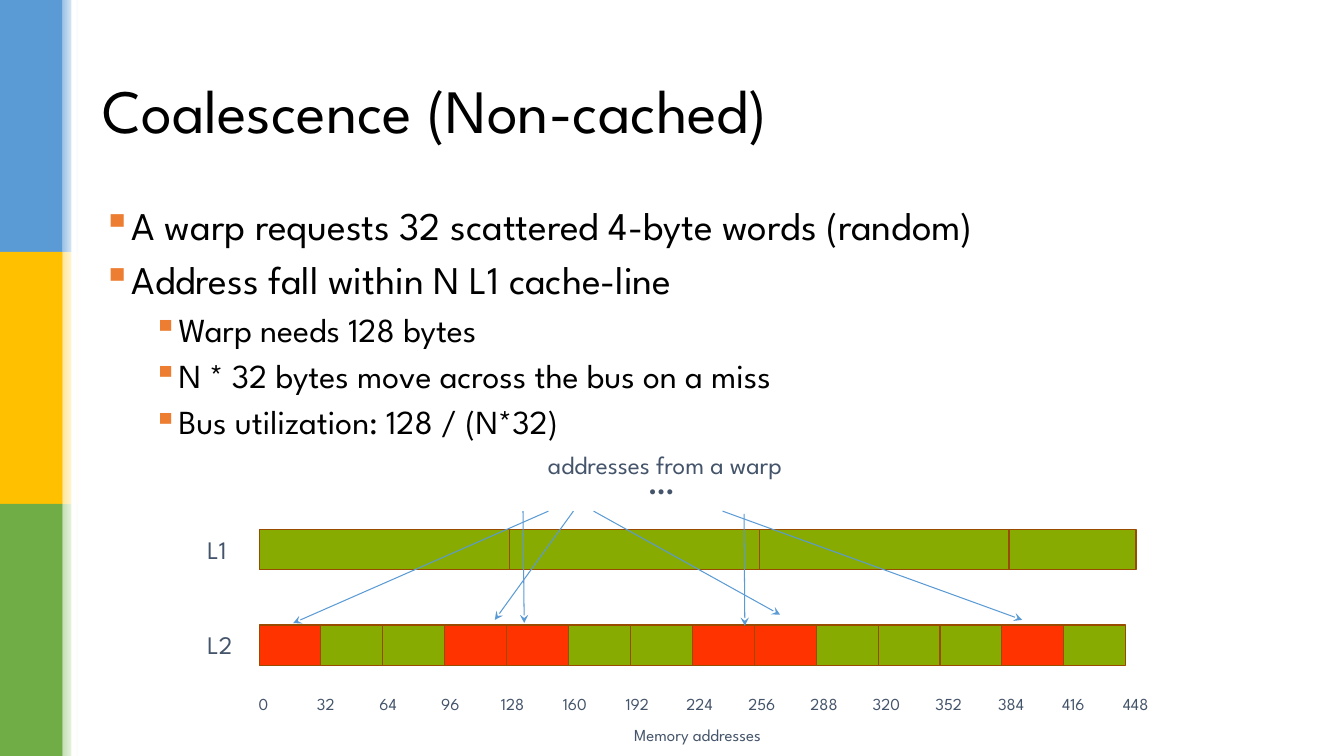
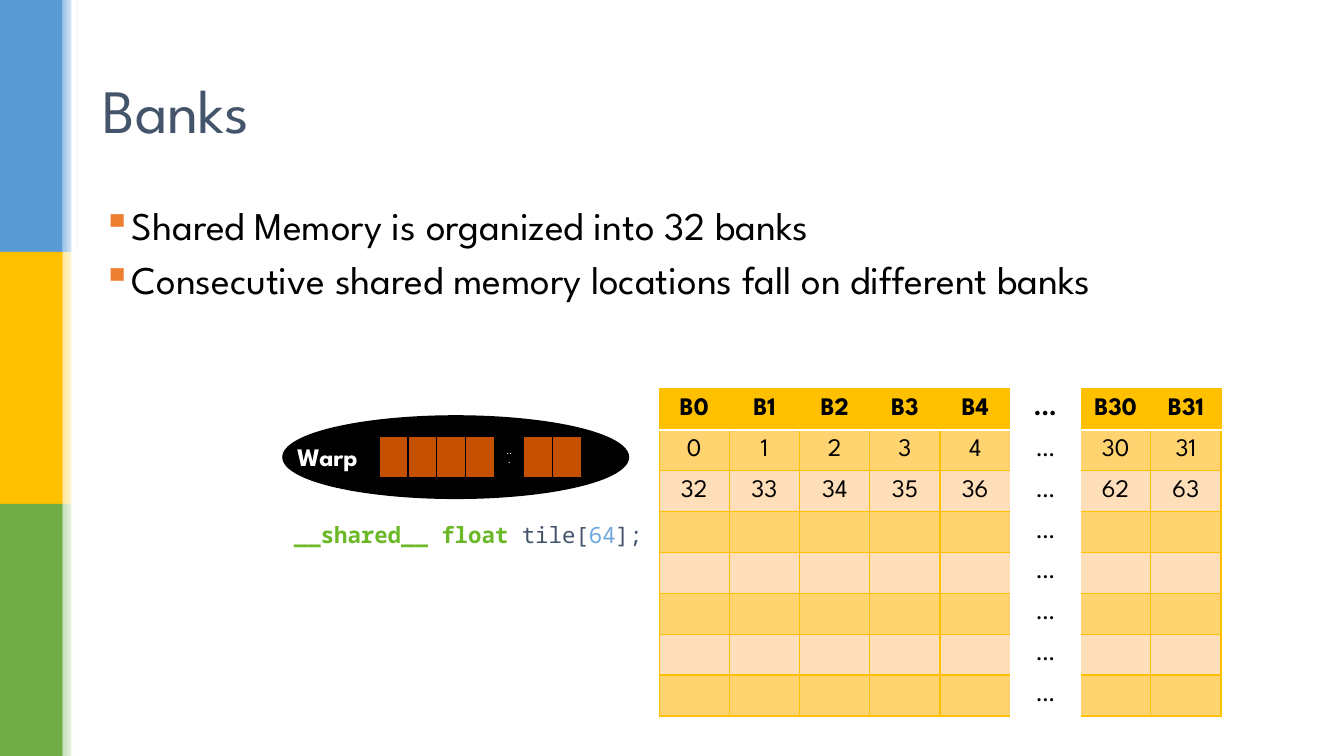
from dataclasses import dataclass
from typing import NamedTuple, Optional

from lxml.etree import SubElement
from pptx import Presentation
from pptx.dml.color import RGBColor
from pptx.enum.shapes import MSO_CONNECTOR, MSO_SHAPE
from pptx.enum.text import MSO_ANCHOR, PP_ALIGN
from pptx.oxml import parse_xml
from pptx.oxml.ns import nsdecls, qn
from pptx.util import Cm, Pt

SANS, MONO = "League Spartan", "Noto Sans Mono"
BLACK, WHITE, SLATE = "000000", "FFFFFF", "44546A"
BLUE, GOLD, GREEN, ORANGE = "5B9BD5", "FFC000", "70AD47", "ED7D31"
LIME, RED, BROWN = "87AB00", "FF3300", "994C00"
GOLD_MID, GOLD_PALE, RUST = "FFD36F", "FFDFB9", "C55000"
MARGIN = 0.25


@dataclass(frozen=True)
class Style:
    size: float
    color: str = SLATE
    bold: bool = False
    font: str = SANS


class Box(NamedTuple):
    left: float
    top: float
    width: float
    height: float

    def emu(self):
        return [Cm(v) for v in self]


class Band(NamedTuple):
    color: str
    tint: str


class Arrow(NamedTuple):
    x1: float
    y1: float
    x2: float
    y2: float


class Edge(NamedTuple):
    color: str
    width: float


class Bullet(NamedTuple):
    text: str
    level: int = 0


BANDS = [Band(BLUE, "9DC3E6"), Band(GOLD, "FFE699"), Band(GREEN, "C5E0B4")]
ARROWS = [
    Arrow(13.82, 12.88, 7.39, 15.7),
    Arrow(14.45, 12.88, 12.47, 15.62),
    Arrow(18.21, 12.88, 25.76, 15.62),
    Arrow(13.18, 12.88, 13.21, 15.7),
    Arrow(14.96, 12.88, 19.66, 15.49),
    Arrow(18.75, 12.95, 18.77, 15.77),
]
SEGMENT_LEFTS = [6.53, 12.83, 19.13, 22.33]
REQUESTED = {0, 3, 4, 7, 8, 12}
BANK_ROWS = [
    ["B0", "B1", "B2", "B3", "B4", "...", "B30", "B31"],
    ["0", "1", "2", "3", "4", "…", "30", "31"],
    ["32", "33", "34", "35", "36", "…", "62", "63"],
] + [[""] * 5 + ["…"] + [""] * 2] * 5
GAP_COL = 5
CODE = [
    ("__shared__ float ", Style(16, "6AB825", True, MONO)),
    ("tile[", Style(16, font=MONO)),
    ("64", Style(16, "6FA8DC", font=MONO)),
    ("];", Style(16, font=MONO)),
]


def rgb(color: str) -> RGBColor:
    return RGBColor.from_string(color)


def format_run(r, style: Style) -> None:
    r.font.name = style.font
    r.font.size = Pt(style.size)
    r.font.bold = style.bold
    r.font.color.rgb = rgb(style.color)


def add_frame(slide, box: Box, inset: float = 0.13):
    tf = slide.shapes.add_textbox(*box.emu()).text_frame
    tf.word_wrap = True
    tf.margin_left = tf.margin_right = Cm(MARGIN)
    tf.margin_top = tf.margin_bottom = Cm(inset)
    return tf


def add_text(slide, box: Box, text: str, style: Style, align=PP_ALIGN.LEFT, inset: float = 0.13):
    tf = add_frame(slide, box, inset)
    tf.text = text
    p = tf.paragraphs[0]
    p.alignment = align
    format_run(p.runs[0], style)
    return tf


def add_block(slide, box: Box, fill: str, line: Optional[Edge] = None, kind=MSO_SHAPE.RECTANGLE):
    sp = slide.shapes.add_shape(kind, *box.emu())
    sp.shadow.inherit = False
    sp.fill.solid()
    sp.fill.fore_color.rgb = rgb(fill)
    if line:
        sp.line.color.rgb = rgb(line.color)
        sp.line.width = Pt(line.width)
    else:
        sp.line.fill.background()
    return sp


def add_arrow(slide, arrow: Arrow) -> None:
    cx = slide.shapes.add_connector(MSO_CONNECTOR.STRAIGHT, *(Cm(v) for v in arrow))
    cx.line.color.rgb = rgb(BLUE)
    cx.line.width = Pt(0.75)
    SubElement(cx.line._get_or_add_ln(), qn("a:tailEnd"), type="stealth")
    SubElement(cx._element.spPr, qn("a:effectLst"))


def add_bands(slide) -> None:
    height = 6.35
    for i, band in enumerate(BANDS):
        add_block(slide, Box(0, i * height, 1.58, height), band.color)
        fade = add_block(slide, Box(1.58, i * height, 0.4, height), band.tint)
        fade.fill.gradient()
        fade.fill.gradient_angle = 0
        for stop, color in zip(fade.fill.gradient_stops, (band.tint, WHITE)):
            stop.color.rgb = rgb(color)
    add_block(slide, Box(1.8, 0, 0.13, 19.05), WHITE)


def add_bullets(slide, bullets: list[Bullet]) -> None:
    tf = add_frame(slide, Box(2.34, 5.08, 29.21, 12.09))
    for i, bullet in enumerate(bullets):
        p = tf.add_paragraph() if i else tf.paragraphs[0]
        p.text = bullet.text
        p.level = bullet.level
        size = 24 if bullet.level else 28
        pPr = p._p.get_or_add_pPr()
        pPr.set("marL", str(Cm(1.91 if bullet.level else 0.64)))
        pPr.set("indent", str(-Cm(0.64)))
        SubElement(SubElement(pPr, qn("a:buClr")), qn("a:srgbClr"), val=ORANGE)
        SubElement(pPr, qn("a:buChar"), char="▪")
        p.line_spacing = 0.9
        p.space_before = Pt(0.3 * size if i else 0)
        format_run(p.runs[0], Style(size, BLACK))


def add_slide(prs, title: str, color: str, bullets: list[Bullet]):
    slide = prs.slides.add_slide(prs.slide_layouts[6])
    add_bands(slide)
    add_bullets(slide, bullets)
    tf = add_text(slide, Box(2.34, 1.02, 29.21, 3.68), title, Style(44, color))
    tf.vertical_anchor = MSO_ANCHOR.MIDDLE
    tf.paragraphs[0].line_spacing = 0.9
    return slide


def add_grid(slide, left: float, top: float, rows: int, cols: int, col_w: float, row_h: float):
    box = Box(left, top, cols * col_w, rows * row_h)
    table = slide.shapes.add_table(rows, cols, *box.emu()).table
    table.first_row = table.horz_banding = False
    for col in table.columns:
        col.width = Cm(col_w)
    for row in table.rows:
        row.height = Cm(row_h)
    return table


def set_cell(cell, text: str, style: Style, fill: str, edges: list[Optional[Edge]]) -> None:
    cell.vertical_anchor = MSO_ANCHOR.MIDDLE
    cell.fill.solid()
    cell.fill.fore_color.rgb = rgb(fill)
    if text:
        cell.text = text
        p = cell.text_frame.paragraphs[0]
        p.alignment = PP_ALIGN.CENTER
        format_run(p.runs[0], style)
    tcPr = cell._tc.get_or_add_tcPr()
    for i, (side, edge) in enumerate(zip("LRTB", edges)):
        paint = "<a:noFill/>"
        width = 0
        if edge:
            paint = f'<a:solidFill><a:srgbClr val="{edge.color}"/></a:solidFill>'
            width = Pt(edge.width)
        tcPr.insert(i, parse_xml(f'<a:ln{side} {nsdecls("a")} w="{width}">{paint}</a:ln{side}>'))


def bank_edges(row: int, col: int) -> list[Optional[Edge]]:
    gold, white = Edge(GOLD, 1), Edge(WHITE, 1.5)
    if col == GAP_COL:
        return [None] * 4
    return [
        None if col == GAP_COL + 1 else gold,
        None if col == GAP_COL - 1 else gold,
        white if row == 1 else gold,
        white if row == 0 else gold,
    ]


def bank_fill(row: int, col: int) -> str:
    if col == GAP_COL:
        return WHITE
    if row == 0:
        return GOLD
    return GOLD_MID if row % 2 else GOLD_PALE


def build_coalescence(prs) -> None:
    slide = add_slide(prs, "Coalescence (Non-cached)", BLACK, [
        Bullet("A warp requests 32 scattered 4-byte words (random)"),
        Bullet("Address fall within N L1 cache-line"),
        Bullet("Warp needs 128 bytes", 1),
        Bullet("N * 32 bytes move across the bus on a miss", 1),
        Bullet("Bus utilization: 128 / (N*32)", 1),
    ])
    center = PP_ALIGN.CENTER
    add_text(slide, Box(12.62, 11.2, 8.28, 1.02), "addresses from a warp", Style(18), center)
    for i in range(15):
        box = Box(5.98 + 1.57 * i, 17.35, 1.32, 0.76)
        add_text(slide, box, str(32 * i), Style(12), center)
    add_text(slide, Box(15.09, 18.14, 4.98, 0.76), "Memory addresses", Style(12), center)
    outline = Edge(BROWN, 0.75)
    for left in reversed(SEGMENT_LEFTS):
        add_block(slide, Box(left, 13.34, 6.3, 1.02), LIME, outline)
    for i in range(14):
        fill = RED if i in REQUESTED else LIME
        add_block(slide, Box(6.53 + 1.56 * i, 15.75, 1.56, 1.02), fill, outline)
    for label, top in (("L1", 13.21), ("L2", 15.62)):
        add_text(slide, Box(4.98, top, 1.3, 1.27), label, Style(18), inset=0.25)
    for arrow in ARROWS:
        add_arrow(slide, arrow)
    add_text(slide, Box(16.1, 11.63, 1.17, 1.12), "...", Style(20, bold=True))


def build_banks(prs) -> None:
    slide = add_slide(prs, "Banks", SLATE, [
        Bullet("Shared Memory is organized into 32 banks"),
        Bullet("Consecutive shared memory locations fall on different banks"),
    ])
    add_block(slide, Box(7.14, 10.49, 8.69, 2.06), BLACK, Edge(BLACK, 1.5), MSO_SHAPE.OVAL)
    add_text(slide, Box(7.24, 10.87, 2.21, 1.27), "Warp", Style(18, WHITE, True), inset=0.25)
    p = add_frame(slide, Box(7.16, 12.88, 9.6, 1.19), 0.25).paragraphs[0]
    for text, style in CODE:
        r = p.add_run()
        r.text = text
        format_run(r, style)
    banks = add_grid(slide, 16.61, 9.8, len(BANK_ROWS), len(BANK_ROWS[0]), 1.77, 1.03)
    for i, row in enumerate(BANK_ROWS):
        for j, text in enumerate(row):
            style = Style(18, BLACK, i == 0)
            set_cell(banks.cell(i, j), text, style, bank_fill(i, j), bank_edges(i, j))
    threads = add_grid(slide, 9.55, 11, 1, 7, 0.73, 1.03)
    for j in range(7):
        text, fill = ("...", BLACK) if j == 4 else ("", RUST)
        set_cell(threads.cell(0, j), text, Style(7, WHITE), fill, [Edge(BLACK, 1)] * 4)


def main() -> None:
    """Build the two slides on GPU memory access and save them."""
    prs = Presentation()
    prs.slide_width, prs.slide_height = Cm(33.87), Cm(19.05)
    build_coalescence(prs)
    build_banks(prs)
    prs.save("out.pptx")


if __name__ == "__main__":
    main()
